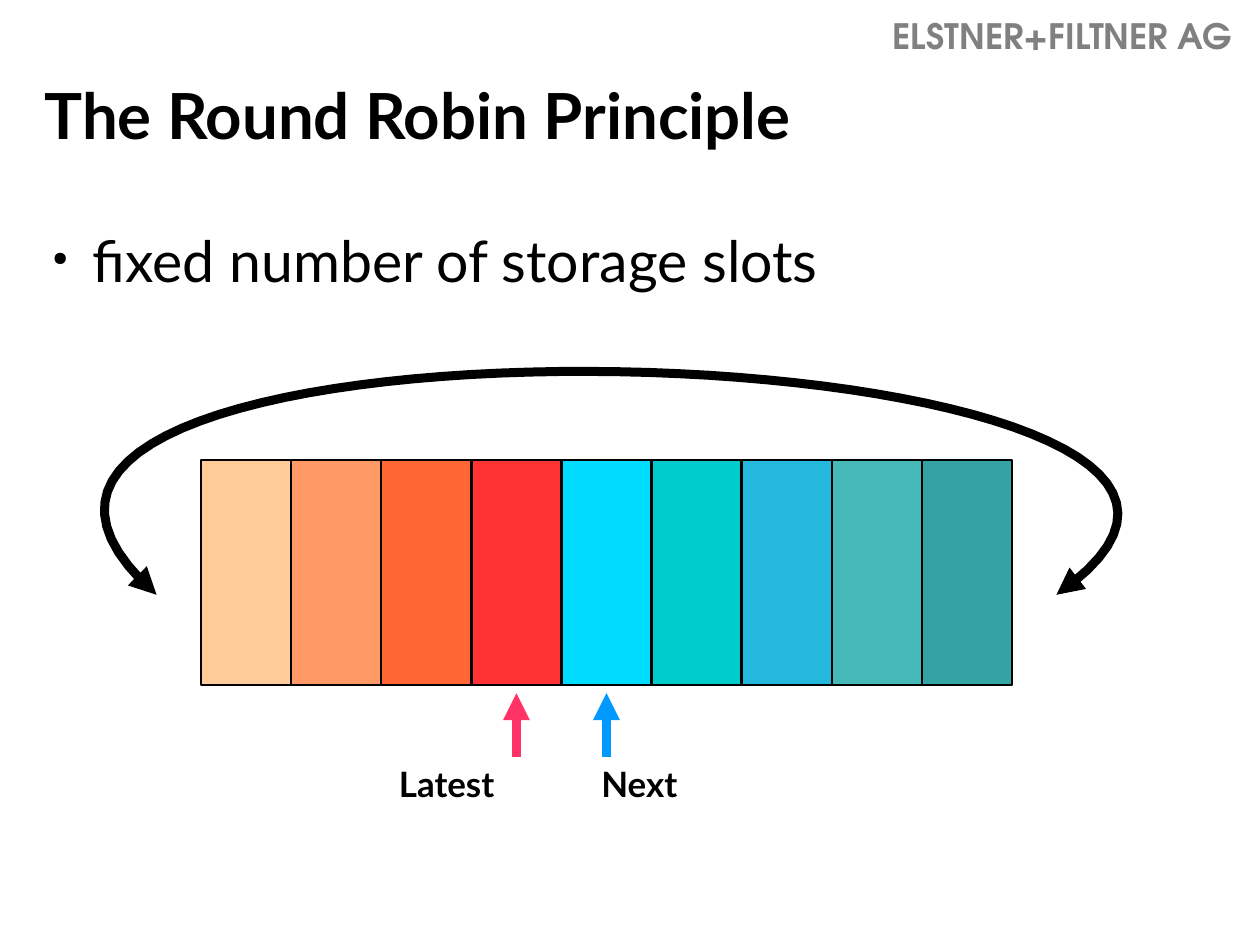
from lxml.etree import SubElement
from pptx import Presentation
from pptx.dml.color import RGBColor
from pptx.enum.shapes import MSO_CONNECTOR, MSO_SHAPE
from pptx.enum.text import MSO_ANCHOR
from pptx.oxml.ns import qn
from pptx.util import Inches, Pt

# Content
COMPANY = "ELSTNER+FILTNER AG"
TITLE = "The Round Robin Principle"
BULLET = "fixed number of storage slots"
SLOT_COLORS = [RGBColor.from_string(code) for code in (
    "FFCC99", "FF9966", "FF6633", "FF3333", "00DCFF",
    "00CCCC", "23B8DC", "47B8B8", "33A3A3")]
BLACK = RGBColor(0x00, 0x00, 0x00)
GRAY = RGBColor(0x80, 0x80, 0x80)
PINK = RGBColor(0xFF, 0x33, 0x66)
BLUE = RGBColor(0x00, 0x99, 0xFF)
# label, slot index, arrow colour, label left, label width
POINTERS = [("Latest", 3, PINK, 3.38, 1.3), ("Next", 4, BLUE, 5.15, 1.02)]

# Layout in inches
ROW_LEFT, ROW_TOP, ROW_WIDTH, ROW_HEIGHT = 1.76, 4.02, 7.09, 1.97
SLOT_WIDTH = ROW_WIDTH / len(SLOT_COLORS)
ARROW_TOP, ARROW_BOTTOM = 6.06, 6.62
LABEL_TOP, LABEL_HEIGHT = 6.61, 0.47
# start, two control points and end of the wrap-around curve
LOOP = [(1.37, 5.2), (-1.8, 2.4), (12.7, 2.8), (9.24, 5.2)]
LOOP_STEPS = 64

prs = Presentation()
prs.slide_width, prs.slide_height = Inches(11.02), Inches(8.27)
slide = prs.slides.add_slide(prs.slide_layouts[6])
shapes = slide.shapes


def add_text(text, box, size, font="Lato", color=BLACK, bold=True,
             margins=(0, 0), anchor=MSO_ANCHOR.TOP):
    frame = shapes.add_textbox(*map(Inches, box)).text_frame
    frame.word_wrap = True
    frame.vertical_anchor = anchor
    frame.margin_left = frame.margin_right = Inches(margins[0])
    frame.margin_top = frame.margin_bottom = Inches(margins[1])
    frame.text = text
    style = frame.paragraphs[0].runs[0].font
    style.name, style.size, style.bold = font, Pt(size), bold
    style.color.rgb = color
    return frame.paragraphs[0]


def style_arrow(line, color, *ends):
    line.color.rgb = color
    line.width = Pt(5.67)
    for end in ends:
        SubElement(line._get_or_add_ln(), qn(f"a:{end}"), type="triangle")


def loop_point(t):
    weights = ((1 - t) ** 3, 3 * t * (1 - t) ** 2, 3 * t ** 2 * (1 - t), t ** 3)
    return tuple(Inches(sum(w * p[axis] for w, p in zip(weights, LOOP)))
                 for axis in (0, 1))


# Header, title and bullet
add_text(COMPANY, (7.71, 0.08, 3.31, 0.52), 22, "TeX Gyre Adventor", GRAY,
         margins=(0.1, 0.05))
add_text(TITLE, (0.39, 0.5, 10.31, 1), 40, anchor=MSO_ANCHOR.MIDDLE)
point = add_text(BULLET, (0.34, 1.97, 10.13, 5.36), 36, bold=False)
point.space_after = Pt(14.2)
props = point._p.get_or_add_pPr()
props.set("marL", str(Inches(0.47)))
props.set("indent", str(Inches(-0.35)))
SubElement(SubElement(props, qn("a:buClr")), qn("a:srgbClr"), val=str(BLACK))
SubElement(props, qn("a:buSzPct"), val="34000")
SubElement(props, qn("a:buChar"), char="●")

# Storage slots
for index, color in enumerate(SLOT_COLORS):
    slot = shapes.add_shape(
        MSO_SHAPE.RECTANGLE, Inches(ROW_LEFT + index * SLOT_WIDTH),
        Inches(ROW_TOP), Inches(SLOT_WIDTH), Inches(ROW_HEIGHT))
    slot.shadow.inherit = False
    slot.fill.solid()
    slot.fill.fore_color.rgb = color
    slot.line.color.rgb = BLACK
    slot.line.width = Pt(1.42)

# Pointers to the latest and next slot
for label, index, color, left, width in POINTERS:
    add_text(label, (left, LABEL_TOP, width, LABEL_HEIGHT), 22,
             margins=(0.11, 0.06))
    center = Inches(ROW_LEFT + (index + 0.5) * SLOT_WIDTH)
    arrow = shapes.add_connector(MSO_CONNECTOR.STRAIGHT, center,
                                 Inches(ARROW_BOTTOM), center, Inches(ARROW_TOP))
    style_arrow(arrow.line, color, "tailEnd")
    SubElement(arrow._element.spPr, qn("a:effectLst"))

# Wrap-around arrow
curve = [loop_point(step / LOOP_STEPS) for step in range(LOOP_STEPS + 1)]
builder = shapes.build_freeform(*curve[0])
builder.add_line_segments(curve[1:], close=False)
loop = builder.convert_to_shape()
loop.shadow.inherit = False
loop.fill.background()
style_arrow(loop.line, BLACK, "headEnd", "tailEnd")

prs.save("out.pptx")
